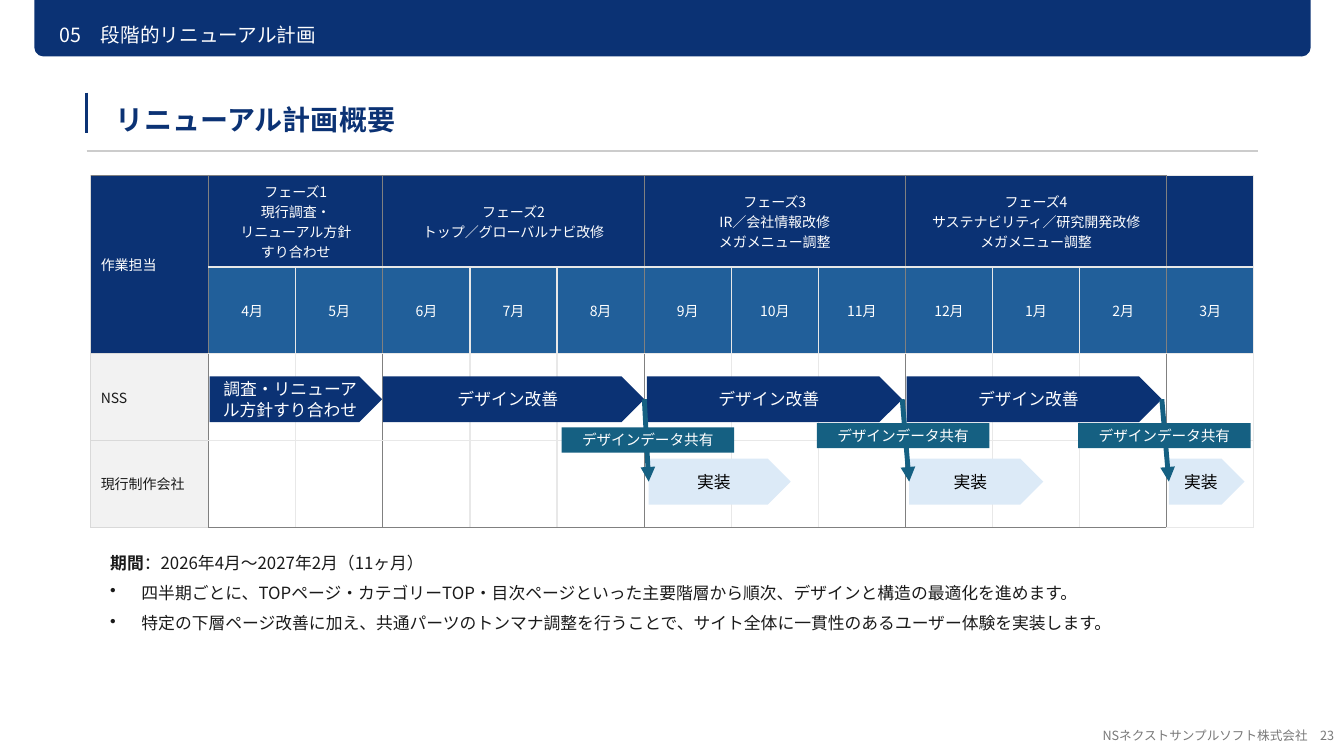
from dataclasses import dataclass

from lxml import etree
from pptx import Presentation
from pptx.dml.color import RGBColor
from pptx.enum.shapes import MSO_CONNECTOR, MSO_SHAPE
from pptx.enum.text import MSO_ANCHOR, MSO_AUTO_SIZE, PP_ALIGN
from pptx.oxml.ns import qn
from pptx.util import Inches, Pt

STRAIGHT = MSO_CONNECTOR.STRAIGHT
RECTANGLE, ROUNDED = MSO_SHAPE.RECTANGLE, MSO_SHAPE.ROUNDED_RECTANGLE
PENTAGON, HEADER_BAR = MSO_SHAPE.PENTAGON, MSO_SHAPE.ROUND_2_SAME_RECTANGLE
TOP, MIDDLE = MSO_ANCHOR.TOP, MSO_ANCHOR.MIDDLE
FIT_SHAPE = MSO_AUTO_SIZE.SHAPE_TO_FIT_TEXT
LEFT, CENTER, RIGHT = PP_ALIGN.LEFT, PP_ALIGN.CENTER, PP_ALIGN.RIGHT
LEFT_SIDE, RIGHT_SIDE = 1, 3


@dataclass(frozen=True)
class Theme:
    font: str = "Noto Sans CJK JP"
    navy: str = "0B3274"
    blue: str = "215F9A"
    teal: str = "156082"
    pale: str = "DCEAF7"
    label: str = "F2F2F2"
    white: str = "FFFFFF"
    black: str = "000000"
    ink: str = "1A1A1A"
    muted: str = "797979"
    rule: str = "CCCCCC"
    light_edge: tuple = ("E8E8E8", 1)
    dark_edge: tuple = ("808080", 1)
    label_edge: tuple = ("D9D9D9", 0.5)
    title: float = 20
    section: float = 14
    body: float = 12
    tag: float = 10.5
    cell: float = 10
    footer: float = 9


THEME = Theme()


@dataclass(frozen=True)
class Box:
    left: int
    top: int
    width: int
    height: int

    def share(self, left, top, width, height):
        return Box(
            int(self.left + self.width * left / 100),
            int(self.top + self.height * top / 100),
            int(self.width * width / 100),
            int(self.height * height / 100),
        )

    @property
    def frame(self):
        return self.left, self.top, self.width, self.height


PHASES = [
    (2, ["フェーズ1", "現行調査・", "リニューアル方針", "すり合わせ"]),
    (3, ["フェーズ2", "トップ／グローバルナビ改修"]),
    (3, ["フェーズ3", "IR／会社情報改修", "メガメニュー調整"]),
    (3, ["フェーズ4", "サステナビリティ／研究開発改修", "メガメニュー調整"]),
    (1, []),
]
PHASE_STARTS = [1 + sum(span for span, _ in PHASES[:index]) for index in range(len(PHASES))]
MONTHS = [f"{(month + 3) % 12 + 1}月" for month in range(12)]
LANES = ["NSS", "現行制作会社"]
DESIGN_STEPS = [
    (0.01, 1.98, "調査・リニューアル方針すり合わせ"),
    (2, 3, "デザイン改善"),
    (5.03, 2.93, "デザイン改善"),
    (8.01, 2.93, "デザイン改善"),
]
BUILD_STEPS = [(5.05, 1.63, "実装"), (8.04, 1.54, "実装"), (11.02, 0.87, "実装")]
HANDOVERS = [(4.05, 0.85), (6.98, 0.8), (9.98, 0.8)]
BULLETS = [
    "四半期ごとに、TOPページ・カテゴリーTOP・目次ページといった主要階層から順次、デザインと構造の最適化を進めます。",
    "特定の下層ページ改善に加え、共通パーツのトンマナ調整を行うことで、サイト全体に一貫性のあるユーザー体験を実装します。",
]


def set_all(target, values):
    for name, value in values.items():
        setattr(target, name, value)


def add_run(paragraph, text, size, color, bold=False):
    run = paragraph.add_run()
    run.text = text
    set_all(run.font, {"size": Pt(size), "bold": bold, "name": THEME.font})
    run.font.color.rgb = RGBColor.from_string(color)
    etree.SubElement(run._r.get_or_add_rPr(), qn("a:ea"), typeface=THEME.font)


def write(frame, lines, size, color, alignment=LEFT, spacing=None, bold=False):
    for index, line in enumerate(lines):
        paragraph = frame.add_paragraph() if index else frame.paragraphs[0]
        set_all(paragraph, {"alignment": alignment, "line_spacing": spacing})
        add_run(paragraph, line, size, color, bold)


def fit_single_line(frame):
    set_all(frame, {"margin_left": 0, "margin_top": 0, "margin_right": 0, "margin_bottom": 0,
                    "word_wrap": False, "vertical_anchor": TOP, "auto_size": FIT_SHAPE})


def add_block(slide, kind, box, fill=None):
    shape = slide.shapes.add_shape(kind, *box.frame)
    shape.shadow.inherit = False
    shape.line.fill.background()
    if fill:
        shape.fill.solid()
        shape.fill.fore_color.rgb = RGBColor.from_string(fill)
    else:
        shape.fill.background()
    set_all(shape.text_frame, {"word_wrap": True, "vertical_anchor": MIDDLE})
    return shape


def add_line(slide, box, color, width):
    line = slide.shapes.add_connector(
        STRAIGHT, box.left, box.top, box.left + box.width, box.top + box.height)
    line.line.color.rgb = RGBColor.from_string(color)
    line.line.width = Pt(width)
    etree.SubElement(line._element.spPr, qn("a:effectLst"))
    return line


def add_header(slide, box):
    bar = add_block(slide, HEADER_BAR, box, THEME.navy)
    bar.rotation = 180
    bar.adjustments[0], bar.adjustments[1] = 0.16, 0
    frame = slide.shapes.add_textbox(*box.share(1.97, 28.57, 20.54, 51.79).frame).text_frame
    fit_single_line(frame)
    write(frame, ["05　段階的リニューアル計画"], THEME.section, THEME.white, spacing=1.3)


def add_title(slide, box):
    add_line(slide, box.share(0, 0, 0, 68.97), THEME.navy, 2)
    add_line(slide, box.share(0, 100, 100, 0), THEME.rule, 1)
    title = slide.shapes.title
    place = box.share(2.5, 0, 24.1, 70.69)
    set_all(title, {"left": place.left, "top": place.top,
                    "width": place.width, "height": place.height})
    fit_single_line(title.text_frame)
    write(title.text_frame, ["リニューアル計画概要"], THEME.title, THEME.navy, spacing=1.3, bold=True)


def cell_edges(row, column, last_column):
    side = THEME.label_edge if column == 0 else THEME.light_edge
    top = THEME.dark_edge if row == 0 and column < 12 else side
    bottom = THEME.dark_edge if row == 3 and 0 < column < 12 else side
    left = THEME.dark_edge if column in PHASE_STARTS else side
    right = THEME.dark_edge if last_column + 1 in PHASE_STARTS else THEME.light_edge
    return {"a:lnL": left, "a:lnR": right, "a:lnT": top, "a:lnB": bottom}


def format_cell(cell, row, column):
    last_column = column + (cell.span_width if cell.is_merge_origin else 1) - 1
    properties = cell._tc.get_or_add_tcPr()
    for tag, (color, width) in cell_edges(row, column, last_column).items():
        edge = etree.SubElement(properties, qn(tag), w=str(Pt(width)))
        fill = etree.SubElement(edge, qn("a:solidFill"))
        etree.SubElement(fill, qn("a:srgbClr"), val=color)
    cell.vertical_anchor = MIDDLE
    if row > 1 and column:
        cell.fill.background()
        return
    cell.fill.solid()
    color = THEME.label if row > 1 else THEME.blue if row and column else THEME.navy
    cell.fill.fore_color.rgb = RGBColor.from_string(color)


def add_schedule_table(slide, box, lead, month_width, phase_height, lane_height):
    table = slide.shapes.add_table(4, 13, *box.frame).table
    set_all(table, {"first_row": False, "horz_banding": False})
    for index, column in enumerate(table.columns):
        column.width = month_width if index else lead
    for index, row in enumerate(table.rows):
        row.height = lane_height if index else phase_height
    table.cell(0, 0).merge(table.cell(1, 0))
    write(table.cell(0, 0).text_frame, ["作業担当"], THEME.cell, THEME.white)
    for start, (span, lines) in zip(PHASE_STARTS, PHASES):
        if span > 1:
            table.cell(0, start).merge(table.cell(0, start + span - 1))
        write(table.cell(0, start).text_frame, lines, THEME.cell, THEME.white, CENTER)
    for column, month in enumerate(MONTHS, 1):
        write(table.cell(1, column).text_frame, [month], THEME.cell, THEME.white, CENTER)
    for row, lane in enumerate(LANES, 2):
        write(table.cell(row, 0).text_frame, [lane], THEME.cell, THEME.ink)
    for row in range(4):
        for column in range(13):
            format_cell(table.cell(row, column), row, column)


def add_schedule(slide, box):
    lead, phase_height = int(box.width * 0.1014), int(box.height * 0.2607)
    month_width = (box.width - lead) // 12
    lane_height = (box.height - phase_height) // 3
    add_schedule_table(slide, box, lead, month_width, phase_height, lane_height)
    month_lane = Box(box.left + lead, box.top + phase_height + lane_height, month_width, lane_height)

    def add_step(kind, month, lane, span, height, fill, text, size, color):
        place = month_lane.share(month * 100, lane * 100, span * 100, height * 100)
        shape = add_block(slide, kind, place, fill)
        write(shape.text_frame, [text], size, color, CENTER)
        return shape

    designs = [add_step(PENTAGON, month, 0.26, span, 0.53, THEME.navy, text, THEME.body, THEME.white)
               for month, span, text in DESIGN_STEPS]
    builds = [add_step(PENTAGON, month, 1.21, span, 0.53, THEME.pale, text, THEME.body, THEME.black)
              for month, span, text in BUILD_STEPS]
    for design, build, (month, lane) in zip(designs[1:], builds, HANDOVERS):
        arrow = add_line(slide, month_lane, THEME.teal, 3.5)
        arrow.begin_connect(design, RIGHT_SIDE)
        arrow.end_connect(build, LEFT_SIDE)
        etree.SubElement(arrow._element.spPr.find(qn("a:ln")), qn("a:tailEnd"), type="triangle")
        add_step(RECTANGLE, month, lane, 1.98, 0.29, THEME.teal,
                 "デザインデータ共有", THEME.tag, THEME.white)


def add_notes_panel(slide, box):
    panel = add_block(slide, ROUNDED, box)
    panel.adjustments[0] = 0.01
    frame = panel.text_frame
    set_all(frame, {"margin_left": Inches(0.16), "margin_right": Inches(0.2),
                    "margin_top": Inches(0.12), "margin_bottom": Inches(0.12),
                    "vertical_anchor": TOP, "auto_size": FIT_SHAPE})
    write(frame, ["期間"], THEME.body, THEME.ink, spacing=1.5, bold=True)
    add_run(frame.paragraphs[0], "：2026年4月〜2027年2月（11ヶ月）", THEME.body, THEME.ink)
    for text in BULLETS:
        paragraph = frame.add_paragraph()
        set_all(paragraph, {"alignment": LEFT, "line_spacing": 1.5})
        properties = paragraph._p.get_or_add_pPr()
        properties.set("marL", str(Inches(0.31)))
        properties.set("indent", str(-Inches(0.31)))
        etree.SubElement(properties, qn("a:buChar"), char="•")
        add_run(paragraph, text, THEME.body, THEME.ink)


def add_footer(slide, box):
    frame = slide.shapes.add_textbox(*box.frame).text_frame
    set_all(frame, {"word_wrap": True, "vertical_anchor": MIDDLE})
    write(frame, ["NSネクストサンプルソフト株式会社　23"], THEME.footer, THEME.muted, RIGHT)


def main():
    presentation = Presentation()
    set_all(presentation, {"slide_width": Inches(13.33), "slide_height": Inches(7.5)})
    slide = presentation.slides.add_slide(presentation.slide_layouts[5])
    page = Box(0, 0, presentation.slide_width, presentation.slide_height)
    add_header(slide, page.share(2.55, 0, 94.97, 7.47))
    add_title(slide, page.share(6.45, 12.27, 87.17, 7.73))
    add_footer(slide, page.share(77.5, 94.67, 22.5, 5.33))
    add_notes_panel(slide, page.share(6.98, 70.13, 86.12, 15.6))
    add_schedule(slide, page.share(6.75, 23.2, 86.57, 46.53))
    presentation.save("out.pptx")


if __name__ == "__main__":
    main()
